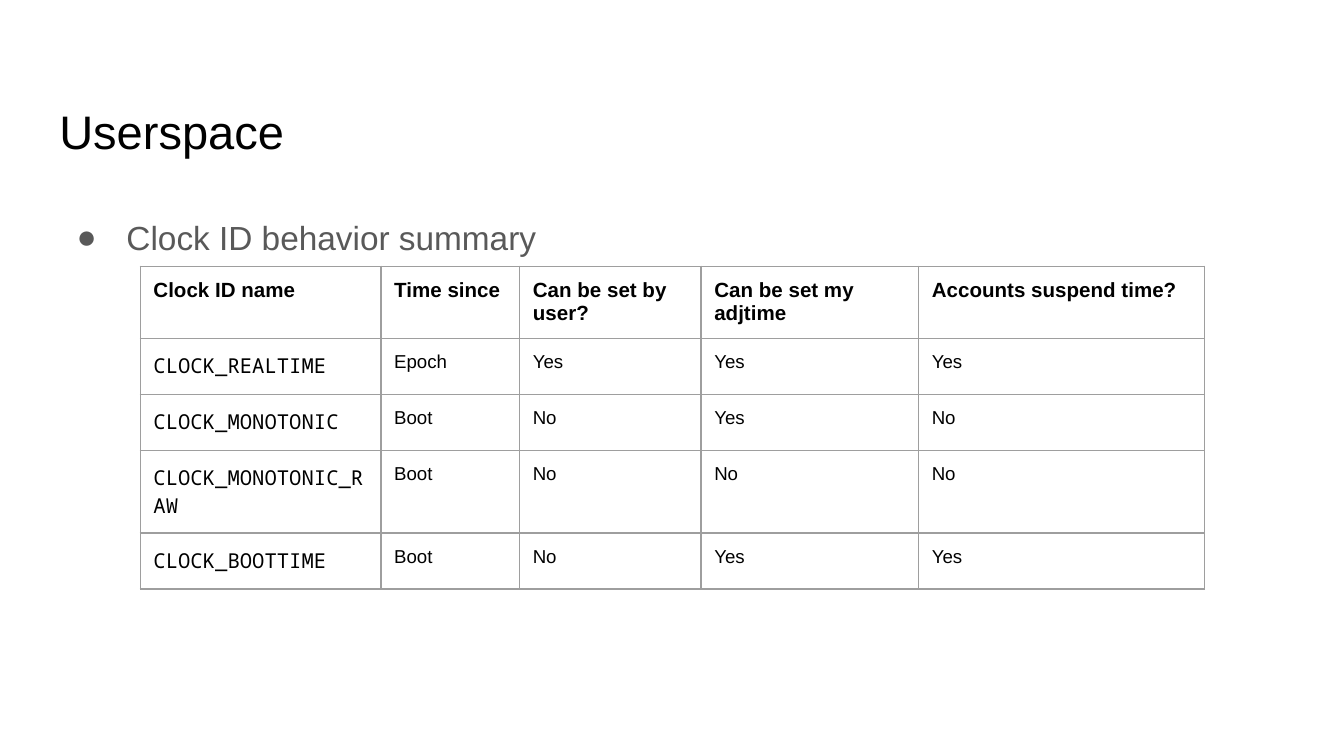
from lxml import etree
from pptx import Presentation
from pptx.dml.color import RGBColor
from pptx.enum.text import MSO_ANCHOR, MSO_AUTO_SIZE, PP_ALIGN
from pptx.oxml.ns import qn
from pptx.util import Cm, Pt

LEFT = PP_ALIGN.LEFT
TOP, BOTTOM = MSO_ANCHOR.TOP, MSO_ANCHOR.BOTTOM
NO_AUTOFIT = MSO_AUTO_SIZE.NONE

BLACK = RGBColor(0x00, 0x00, 0x00)
GRAY = RGBColor(0x59, 0x59, 0x59)
BORDER = RGBColor(0x9E, 0x9E, 0x9E)

HEADINGS = ["Clock ID name", "Time since", "Can be set by user?",
            "Can be set my adjtime", "Accounts suspend time?"]
CLOCKS = [
    ["CLOCK_REALTIME", "Epoch", "Yes", "Yes", "Yes"],
    ["CLOCK_MONOTONIC", "Boot", "No", "Yes", "No"],
    ["CLOCK_MONOTONIC_RAW", "Boot", "No", "No", "No"],
    ["CLOCK_BOOTTIME", "Boot", "No", "Yes", "Yes"],
]
COLUMN_WIDTHS = [4.55, 2.62, 3.43, 4.11, 5.41]
ROW_HEIGHT = 1.06


class SlideBuilder:
    """Holds the shared style and the current slide."""

    sans, mono = "Arial", "Noto Sans Mono"
    inset = Cm(0.25)

    def __init__(self, slide):
        self.slide = slide

    def add_run(self, paragraph, text, size, color=BLACK, font=None, bold=False):
        run = paragraph.add_run()
        run.text = text
        run.font.name = font or self.sans
        run.font.size = Pt(size)
        run.font.bold = bold
        run.font.color.rgb = color

    def set_insets(self, box):
        box.margin_left = box.margin_right = self.inset
        box.margin_top = box.margin_bottom = self.inset

    def place(self, placeholder, left, top, width, height, anchor):
        placeholder.left, placeholder.top = Cm(left), Cm(top)
        placeholder.width, placeholder.height = Cm(width), Cm(height)
        frame = placeholder.text_frame
        frame.auto_size = NO_AUTOFIT
        frame.word_wrap = True
        frame.vertical_anchor = anchor
        self.set_insets(frame)
        paragraph = frame.paragraphs[0]
        paragraph.alignment = LEFT
        paragraph.space_before = Pt(0)
        return paragraph

    def title(self, text, *area):
        heading = self.place(self.slide.shapes.title, *area, BOTTOM)
        self.add_run(heading, text, 25.2)

    def bullet(self, text, *area):
        item = self.place(self.slide.placeholders[1], *area, TOP)
        item.line_spacing = 1.5
        properties = item._p.get_or_add_pPr()
        properties.set("marL", str(Cm(1.27)))
        properties.set("indent", str(Cm(-0.94)))
        bullet_color = etree.SubElement(properties, qn("a:buClr"))
        etree.SubElement(bullet_color, qn("a:srgbClr"), val=str(GRAY))
        etree.SubElement(properties, qn("a:buFont"), typeface=self.sans)
        etree.SubElement(properties, qn("a:buChar"), char="●")
        self.add_run(item, text, 17.9, GRAY)

    def border(self, cell):
        properties = cell._tc.get_or_add_tcPr()
        for side in ("lnL", "lnR", "lnT", "lnB"):
            line = etree.SubElement(properties, qn(f"a:{side}"), w=str(Pt(0.75)))
            fill = etree.SubElement(line, qn("a:solidFill"))
            etree.SubElement(fill, qn("a:srgbClr"), val=str(BORDER))

    def cell(self, cell, text, **style):
        self.border(cell)
        cell.fill.background()
        cell.vertical_anchor = TOP
        self.set_insets(cell)
        self.add_run(cell.text_frame.paragraphs[0], text, **style)

    def table(self, rows, left, top, widths, row_height):
        table = self.slide.shapes.add_table(
            len(rows), len(widths), Cm(left), Cm(top),
            Cm(sum(widths)), Cm(row_height * len(rows))).table
        table.first_row = table.horz_banding = False
        for column, width in zip(table.columns, widths):
            column.width = Cm(width)
        for r, row in enumerate(rows):
            for c, text in enumerate(row):
                if r == 0:
                    style = {"size": 11, "bold": True}
                elif c == 0:
                    style = {"size": 11, "font": self.mono}
                else:
                    style = {"size": 10}
                self.cell(table.cell(r, c), text, **style)


def main():
    deck = Presentation()
    deck.slide_width, deck.slide_height = Cm(25.4), Cm(14.29)
    builder = SlideBuilder(deck.slides.add_slide(deck.slide_layouts[1]))

    # Title and bullet
    builder.title("Userspace", 0.87, 1.65, 23.67, 1.6)
    builder.bullet("Clock ID behavior summary", 0.87, 3.48, 24.33, 9.5)

    # Clock comparison
    builder.table([HEADINGS] + CLOCKS, 2.65, 5.03, COLUMN_WIDTHS, ROW_HEIGHT)

    deck.save("out.pptx")


if __name__ == "__main__":
    main()
